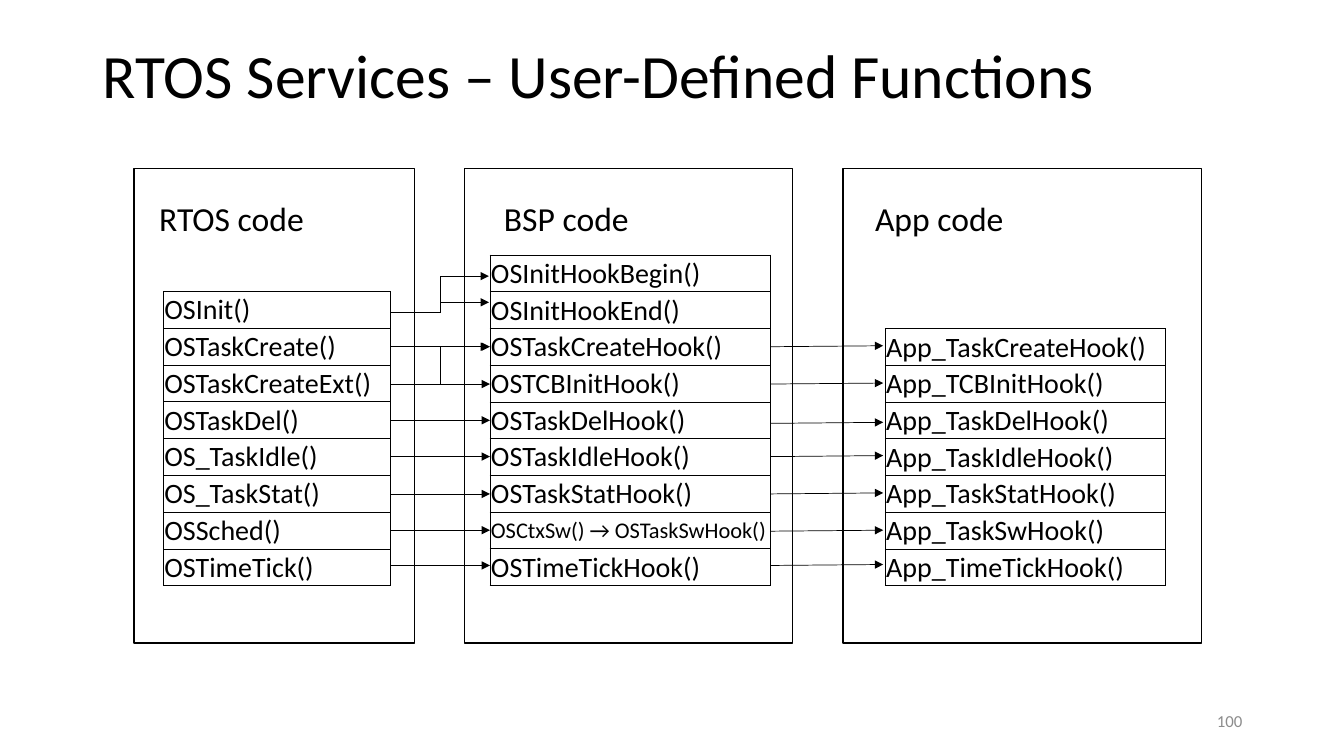
from dataclasses import dataclass

from lxml import etree
from pptx import Presentation
from pptx.dml.color import RGBColor
from pptx.enum import shapes, text
from pptx.oxml import ns
from pptx.util import Emu, Pt

EMU_PER_PX = 9144


@dataclass(frozen=True)
class Theme:
    font: str = "Calibri"
    ink: str = "000000"
    muted: str = "8C8C8C"
    title: int = 44
    heading: int = 24
    function: int = 20
    long_function: int = 16
    page: int = 12
    frame_line: float = 1
    thin_line: float = 0.5


THEME = Theme()

# heading, heading box, frame, table box, functions
COLUMNS = [
    ("RTOS code", (148, 191, 167, 50), (133, 167, 278, 471), (162, 289, 225, 292),
     ["OSInit()", "OSTaskCreate()", "OSTaskCreateExt()", "OSTaskDel()",
      "OS_TaskIdle()", "OS_TaskStat()", "OSSched()", "OSTimeTick()"]),
    ("BSP code", (490, 191, 145, 50), (461, 167, 325, 471), (486, 253, 278, 328),
     ["OSInitHookBegin()", "OSInitHookEnd()", "OSTaskCreateHook()",
      "OSTCBInitHook()", "OSTaskDelHook()", "OSTaskIdleHook()",
      "OSTaskStatHook()", "OSCtxSw() → OSTaskSwHook()", "OSTimeTickHook()"]),
    ("App code", (858, 191, 149, 50), (836, 167, 356, 471), (878, 326, 278, 255),
     ["App_TaskCreateHook()", "App_TCBInitHook()", "App_TaskDelHook()",
      "App_TaskIdleHook()", "App_TaskStatHook()", "App_TaskSwHook()",
      "App_TimeTickHook()"]),
]
BENT_CALLS = [(310, 274), (310, 300), (381, 344)]
BSP_CALLS = [344, 381, 417, 453, 490, 526, 561]
APP_CALLS = [344, 381, 420, 453, 490, 527, 561]


def px(length):
    return Emu(length * EMU_PER_PX)


def write(frame, words, size, color=THEME.ink, align=text.PP_ALIGN.LEFT,
          anchor=text.MSO_ANCHOR.TOP, wrap=True, spacing=None):
    frame.word_wrap = wrap
    frame.vertical_anchor = anchor
    paragraph = frame.paragraphs[0]
    paragraph.alignment = align
    paragraph.line_spacing = spacing
    run = paragraph.add_run()
    run.text = words
    run.font.name = THEME.font
    run.font.size = Pt(size)
    run.font.color.rgb = RGBColor.from_string(color)


def add_label(slide, box, words, size, **style):
    label = slide.shapes.add_textbox(*map(px, box))
    write(label.text_frame, words, size, **style)


def add_frame(slide, box):
    frame = slide.shapes.add_shape(shapes.MSO_SHAPE.RECTANGLE, *map(px, box))
    frame.shadow.inherit = False
    frame.fill.background()
    frame.line.color.rgb = RGBColor.from_string(THEME.ink)
    frame.line.width = Pt(THEME.frame_line)


def add_borders(cell):
    properties = cell._tc.get_or_add_tcPr()
    for side in ("lnL", "lnR", "lnT", "lnB"):
        border = etree.SubElement(properties, ns.qn(f"a:{side}"),
                                  w=str(Pt(THEME.thin_line)))
        fill = etree.SubElement(border, ns.qn("a:solidFill"))
        etree.SubElement(fill, ns.qn("a:srgbClr"), val=THEME.ink)


def add_function_list(slide, box, functions):
    table = slide.shapes.add_table(len(functions), 1, *map(px, box)).table
    table.first_row = table.horz_banding = False
    for row, function in zip(table.rows, functions):
        row.height = px(box[3]) // len(functions)
        cell = row.cells[0]
        cell.margin_left = cell.margin_right = cell.margin_top = px(1)
        cell.margin_bottom = 0
        add_borders(cell)
        cell.fill.background()
        size = THEME.long_function if "→" in function else THEME.function
        write(cell.text_frame, function, size)
        cell.vertical_anchor = text.MSO_ANCHOR.MIDDLE


def add_arrow(slide, start, end, kind=shapes.MSO_CONNECTOR.STRAIGHT):
    arrow = slide.shapes.add_connector(kind, *map(px, start + end))
    arrow.line.color.rgb = RGBColor.from_string(THEME.ink)
    arrow.line.width = Pt(THEME.thin_line)
    etree.SubElement(arrow.line._get_or_add_ln(), ns.qn("a:tailEnd"), type="triangle")
    etree.SubElement(arrow._element.spPr, ns.qn("a:effectLst"))


def main():
    deck = Presentation()
    deck.slide_width, deck.slide_height = px(1333), px(750)
    slide = deck.slides.add_slide(deck.slide_layouts[6])

    add_label(slide, (92, 40, 1150, 145), "RTOS Services – User-Defined Functions",
              THEME.title, spacing=0.9)
    for heading, heading_box, frame_box, table_box, functions in COLUMNS:
        add_frame(slide, frame_box)
        add_label(slide, heading_box, heading, THEME.heading, wrap=False)
        add_function_list(slide, table_box, functions)

    for caller, hook in BENT_CALLS:
        add_arrow(slide, (388, caller), (485, hook), shapes.MSO_CONNECTOR.ELBOW)
    for y in BSP_CALLS:
        add_arrow(slide, (388, y), (486, y))
    for y in APP_CALLS:
        add_arrow(slide, (764, y), (876, y - 1))

    add_label(slide, (942, 695, 300, 40), "100", THEME.page, color=THEME.muted,
              align=text.PP_ALIGN.RIGHT, anchor=text.MSO_ANCHOR.MIDDLE)
    deck.save("out.pptx")


if __name__ == "__main__":
    main()
